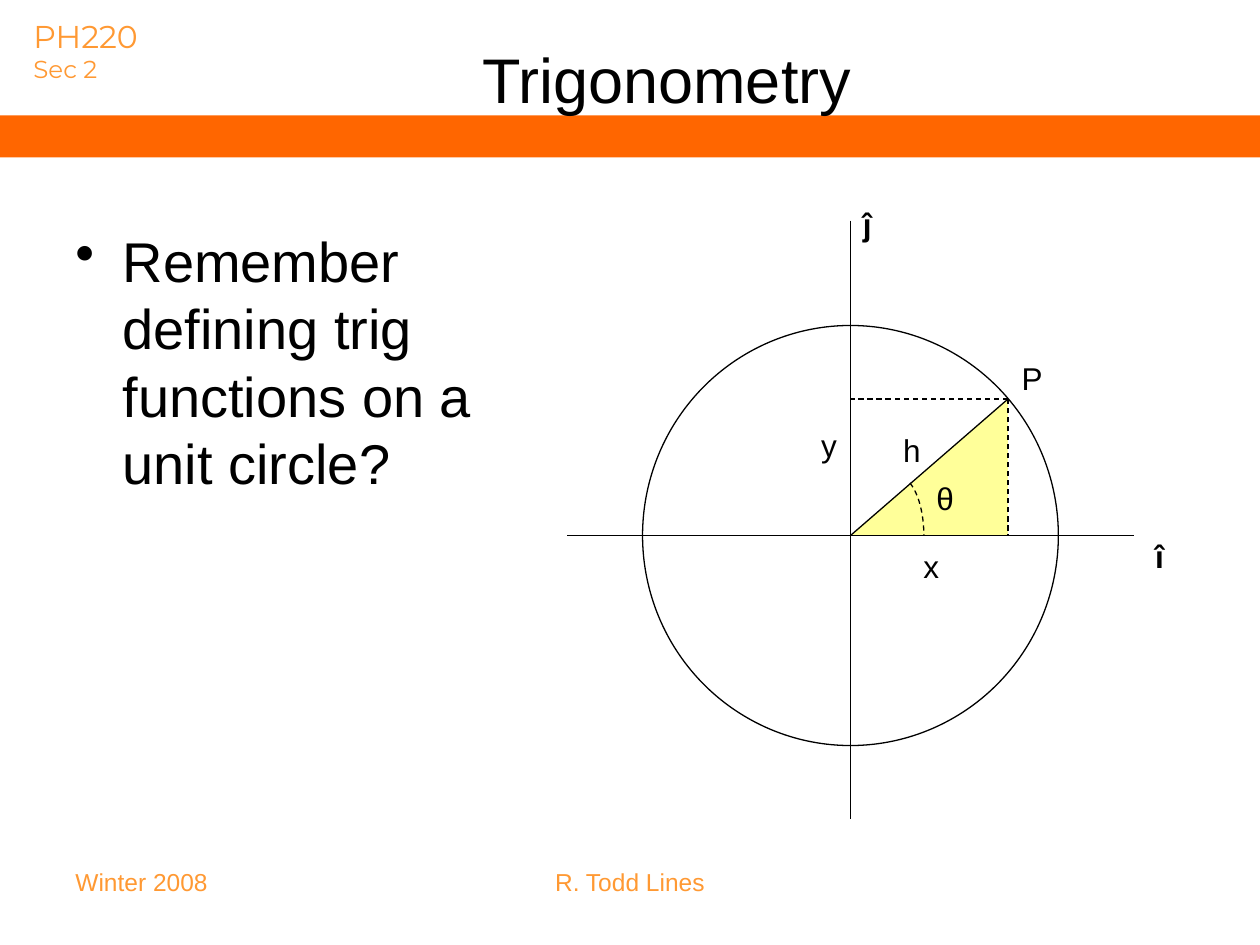
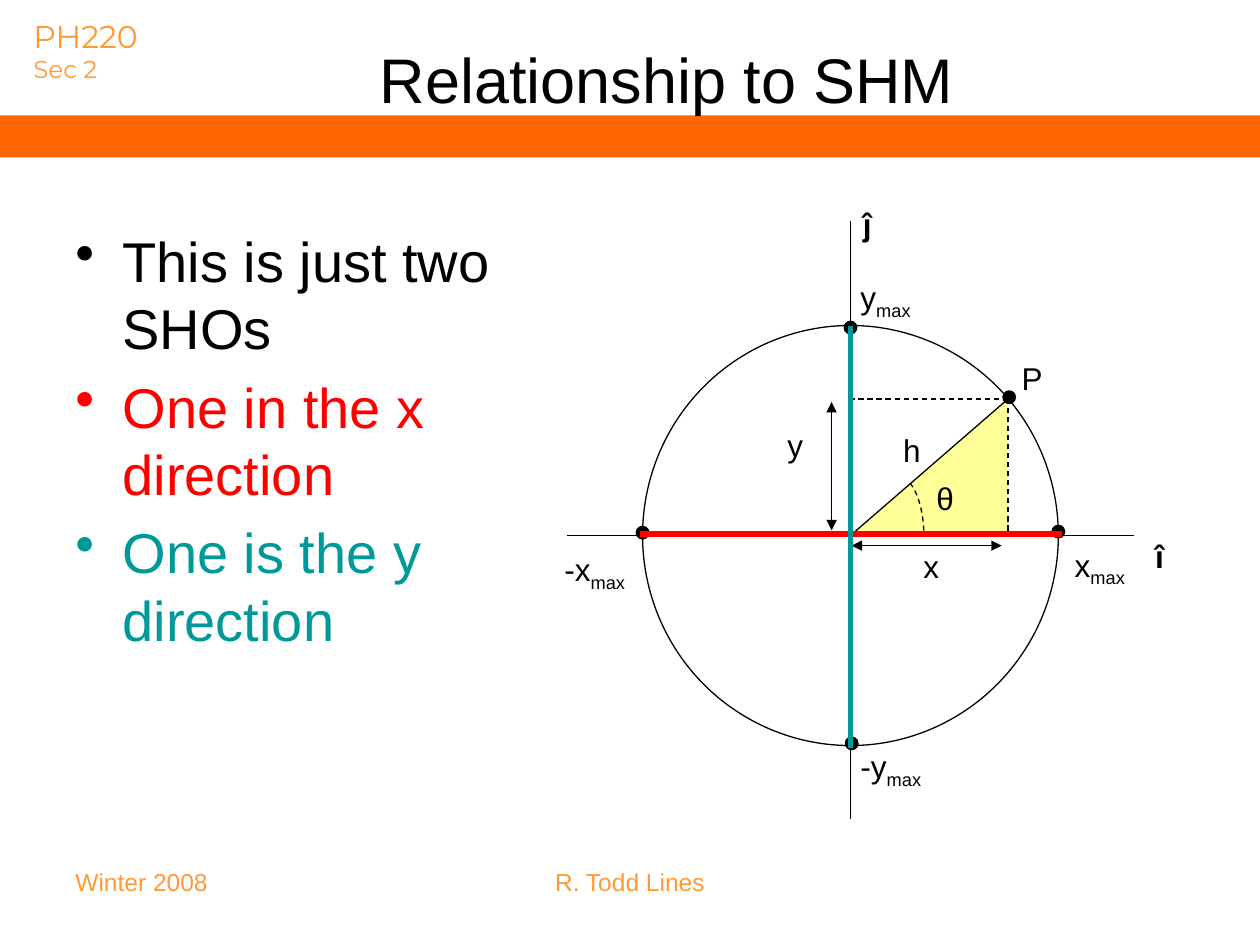
import pptx
import pptx.util
import pptx.dml.color
import pptx.enum.dml
import pptx.enum.shapes
import pptx.enum.text
import pptx.oxml

Pt = pptx.util.Pt
SHAPE = pptx.enum.shapes.MSO_SHAPE
ALIGN = pptx.enum.text.PP_ALIGN
ANCHOR = pptx.enum.text.MSO_ANCHOR
NS = 'xmlns:a="http://schemas.openxmlformats.org/drawingml/2006/main"'
COLORS = {"text": "000000", "accent": "FF9933", "band": "FF6600",
          "triangle": "FFFF99", "x": "FF0000", "y": "009999"}
CX, CY = 486, 306
PX, PY = 576, 228
RX, RY = 118.8, 120
AXIS = 162


def rgb(name):
    """Return the named colour."""
    return pptx.dml.color.RGBColor.from_string(COLORS[name])


def add_xml(parent, tag):
    """Append one DrawingML element, given as a tag with its attributes."""
    name, _, attrs = tag.partition(" ")
    parent.append(pptx.oxml.parse_xml(f"<a:{name} {NS} {attrs}/>"))


def add_text(s, lines, x, y, w, h, size=18, sizes=None, color="text", colors=None,
             font="Arial", bold=False, align=ALIGN.LEFT, anchor=ANCHOR.TOP,
             wrap=True, bullet=False):
    """Add a text box; an underscore starts a subscript."""
    tf = s.shapes.add_textbox(Pt(x), Pt(y), Pt(w), Pt(h)).text_frame
    tf.word_wrap = wrap
    tf.vertical_anchor = anchor
    if not wrap:
        tf.auto_size = pptx.enum.text.MSO_AUTO_SIZE.SHAPE_TO_FIT_TEXT
    for i, line in enumerate(lines):
        p = tf.add_paragraph() if i else tf.paragraphs[0]
        p.alignment = align
        if bullet:
            if i:
                p.space_before = Pt(0.2 * size)
            pPr = p._p.get_or_add_pPr()
            pPr.set("marL", str(Pt(27)))
            pPr.set("indent", str(-Pt(27)))
            add_xml(pPr, 'buChar char="•"')
        for j, part in enumerate(line.split("_")):
            r = p.add_run()
            r.text = part
            r.font.name = font
            r.font.size = Pt(sizes[i] if sizes else size)
            r.font.bold = bold
            r.font.color.rgb = rgb(colors[i] if colors else color)
            if j:
                r._r.get_or_add_rPr().set("baseline", "-25000")


def add_label(s, text, x, y, w=24, bold=False):
    """Add a one-line diagram label."""
    add_text(s, [text], x, y, w, 28.8, bold=bold, wrap=False)


def set_line(line, color="text", width=0.75, dash=False):
    """Format an outline."""
    line.color.rgb = rgb(color)
    line.width = Pt(width)
    if dash:
        line.dash_style = pptx.enum.dml.MSO_LINE.DASH


def add_line(s, x1, y1, x2, y2, color="text", width=0.75, dash=False, arrows=False):
    """Add a straight line, with an arrowhead at both ends if asked."""
    c = s.shapes.add_connector(pptx.enum.shapes.MSO_CONNECTOR.STRAIGHT,
                               Pt(x1), Pt(y1), Pt(x2), Pt(y2))
    set_line(c.line, color, width, dash)
    if arrows:
        for end in ("headEnd", "tailEnd"):
            add_xml(c.line._get_or_add_ln(), f'{end} type="triangle"')
    add_xml(c._element.spPr, "effectLst")


def add_shape(s, kind, x, y, w, h, fill=None, line=None):
    """Add a preset shape without shadow."""
    sp = s.shapes.add_shape(kind, Pt(x), Pt(y), Pt(w), Pt(h))
    sp.shadow.inherit = False
    if fill:
        sp.fill.solid()
        sp.fill.fore_color.rgb = rgb(fill)
    else:
        sp.fill.background()
    if line:
        set_line(sp.line, line)
    else:
        sp.line.fill.background()
    return sp


def add_dot(s, x, y):
    """Add a black dot centred on a point."""
    add_shape(s, SHAPE.OVAL, x - 3.6, y - 3.6, 7.2, 7.2, "text", "text")


def add_angle_arc(s):
    """Add the dashed arc that marks the angle."""
    curve = [(520, 276), (525, 282), (528, 294), (528, 306)]
    points = []
    for i in range(13):
        t = i / 12
        weights = ((1 - t) ** 3, 3 * t * (1 - t) ** 2, 3 * t * t * (1 - t), t ** 3)
        points.append(tuple(Pt(sum(k * q[axis] for k, q in zip(weights, curve)))
                            for axis in (0, 1)))
    fb = s.shapes.build_freeform(*points[0])
    fb.add_line_segments(points[1:], close=False)
    sp = fb.convert_to_shape()
    sp.shadow.inherit = False
    sp.fill.background()
    set_line(sp.line, dash=True)


def add_base(prs, title, bullets, colors=None):
    """Add a slide with header, band, footers, title and bullets."""
    s = prs.slides.add_slide(prs.slide_layouts[6])
    add_text(s, ["PH220", "Sec 2"], 12, 6, 78.5, 45.4, sizes=(18, 14),
             color="accent", font="Montserrat", wrap=False)
    add_shape(s, SHAPE.RECTANGLE, 0, 66, 720, 24, "band")
    add_text(s, ["Winter 2008"], 36, 492, 168, 37.5, size=14, color="accent")
    add_text(s, ["R. Todd Lines"], 246, 492, 228, 37.5, size=14, color="accent",
             align=ALIGN.CENTER)
    add_text(s, [title], 126, 0, 510, 90, size=36, align=ALIGN.CENTER,
             anchor=ANCHOR.MIDDLE)
    add_text(s, bullets, 36, 126, 273.6, 356.4, size=32, colors=colors, bullet=True)
    return s


def add_unit_circle(s, y_label_x):
    """Add the circle, its axes, the triangle and their labels."""
    sp = add_shape(s, SHAPE.RIGHT_TRIANGLE, CX, PY, PX - CX, CY - PY, "triangle")
    sp._element.spPr.xfrm.set("flipH", "1")
    add_shape(s, SHAPE.OVAL, CX - RX, CY - RY, 2 * RX, 2 * RY, line="text")
    add_line(s, CX, CY - AXIS - 18, CX, CY + AXIS)
    add_line(s, CX - AXIS, CY, CX + AXIS, CY)
    add_line(s, CX, CY, PX, PY)
    add_line(s, PX, PY, PX, CY, dash=True)
    add_line(s, PX, PY, CX, PY, dash=True)
    add_angle_arc(s)
    add_label(s, "ĵ", 486, 113.8, 19.4, bold=True)
    add_label(s, "î", 653, 303.1, 19.4, bold=True)
    add_label(s, "θ", 528, 270)
    add_label(s, "x", 520.6, 308.9)
    add_label(s, "y", y_label_x, 239.8)
    add_label(s, "h", 509, 242.6, 24.5)
    add_label(s, "P", 576.7, 201.6, 26.6)


def add_oscillations(s):
    """Add the two oscillation paths with their extremes and arrows."""
    for text, x, y, w in (("x_max", 607, 308.2, 46), ("-x_max", 315.4, 311, 51.8),
                          ("-y_max", 484.6, 423.4, 51.8), ("y_max", 484.6, 155.5, 46)):
        add_label(s, text, x, y, w)
    for x, y in ((CX - RX, 304.4), (CX + RX, 303.8), (PX + 0.7, PY - 1),
                 (CX + 0.7, 424.8), (CX, 187.2)):
        add_dot(s, x, y)
    add_line(s, 486.7, 311.8, 572.4, 311.8, arrows=True)
    add_line(s, 475.2, 303.1, 475.2, 229.7, arrows=True)
    add_line(s, 365.8, 305.2, 607, 305.2, "x", 3)
    add_line(s, CX, 427.7, CX, 186.5, "y", 3)


def main():
    """Build and save both slides."""
    prs = pptx.Presentation()
    prs.slide_width, prs.slide_height = Pt(720), Pt(540)
    s = add_base(prs, "Trigonometry",
                 ["Remember defining trig functions on a unit circle?"])
    add_unit_circle(s, 462.2)
    s = add_base(prs, "Relationship to SHM",
                 ["This is just two SHOs", "One in the x direction",
                  "One is the y direction"], ("text", "x", "y"))
    add_unit_circle(s, 442.8)
    add_oscillations(s)
    prs.save("out.pptx")


if __name__ == "__main__":
    main()
